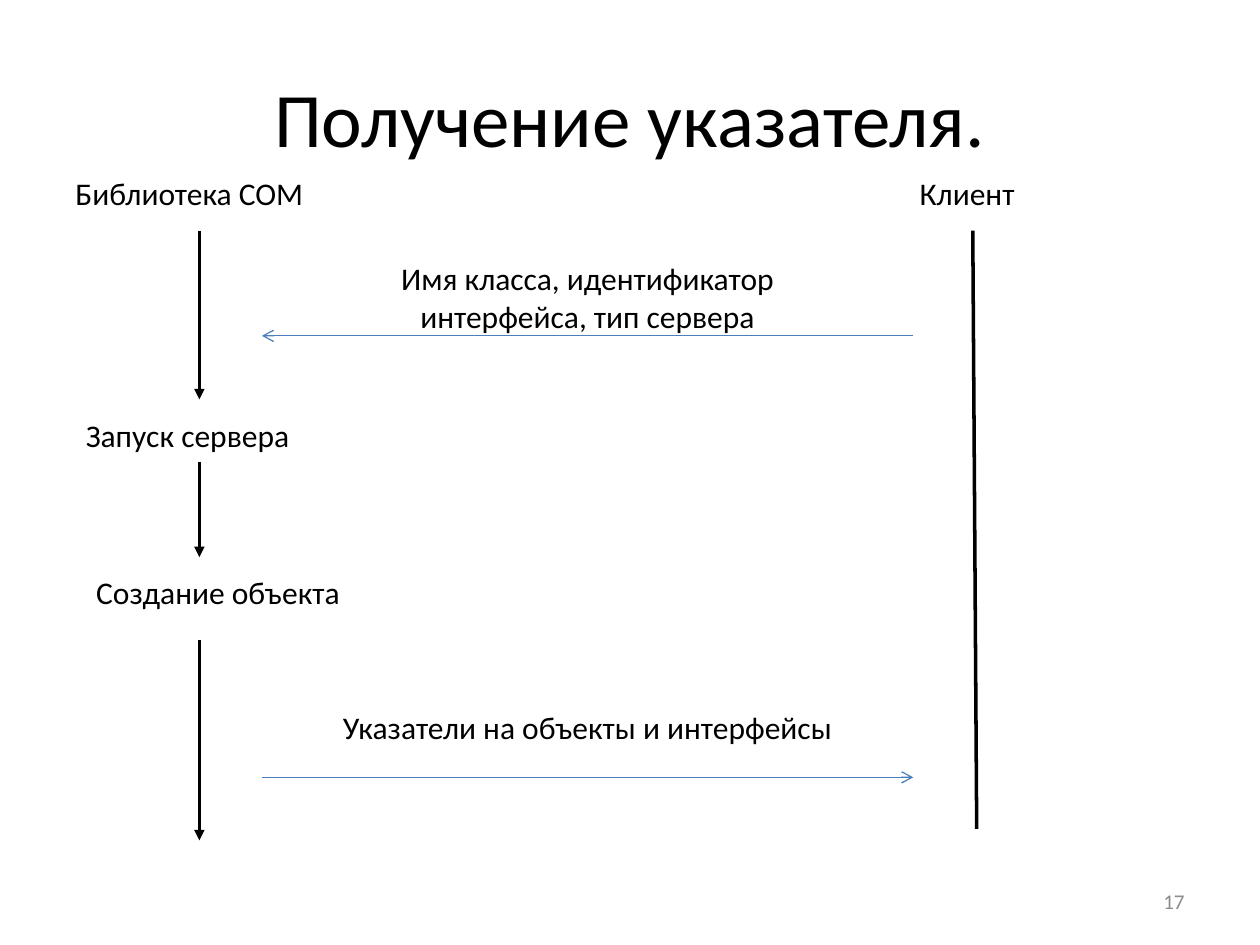
from pptx import Presentation
from pptx.dml.color import RGBColor
from pptx.enum import shapes, text
from pptx.oxml.ns import qn
from pptx.util import Cm, Pt
from lxml import etree

BLACK = RGBColor(0, 0, 0)
BLUE = RGBColor(0x4B, 0x7E, 0xBC)
GRAY = RGBColor(0x8C, 0x8C, 0x8C)
FONT = "Calibri"
ROW = 1.02  # height of a one-line label, cm


def write(frame, words, size=18, color=BLACK, align=text.PP_ALIGN.LEFT,
          anchor=text.MSO_ANCHOR.TOP, wrap=True):
    frame.word_wrap = wrap
    frame.vertical_anchor = anchor
    para = frame.paragraphs[0]
    para.alignment = align
    run = para.add_run()
    run.text = words
    run.font.name = FONT
    run.font.size = Pt(size)
    run.font.color.rgb = color


def label(slide, words, left, top, width, height=ROW, **style):
    box = slide.shapes.add_textbox(Cm(left), Cm(top), Cm(width), Cm(height))
    write(box.text_frame, words, **style)


def line(slide, start, end, color=BLACK, width=2, head=None):
    """Draw a line between two (x, y) points; head names the arrowhead at end."""
    link = slide.shapes.add_connector(
        shapes.MSO_CONNECTOR.STRAIGHT, *map(Cm, (*start, *end)))
    link.line.color.rgb = color
    link.line.width = Pt(width)
    if head:
        stroke = link.line._get_or_add_ln()
        etree.SubElement(stroke, qn("a:tailEnd"), type=head)
    etree.SubElement(link._element.spPr, qn("a:effectLst"))


def heading(slide, left, top, width, height):
    title = slide.shapes.title
    title.left, title.top = Cm(left), Cm(top)
    title.width, title.height = Cm(width), Cm(height)
    write(title.text_frame, "Получение указателя.", 44,
          align=text.PP_ALIGN.CENTER, anchor=text.MSO_ANCHOR.MIDDLE)


def library(slide, left, top):
    """Left lane: each step's label, then the arrow leading on from it."""
    steps = [
        ("Библиотека COM", 0, 5.16, 1.27, 4.67),
        ("Запуск сервера", 4.88, 4.67, 5.94, 7.85),
        ("Создание объекта", 8.05, 5.49, 9.52, 13.56),
    ]
    axis = left + 2.75
    for i, (words, drop, width, start, end) in enumerate(steps):
        label(slide, words, left + i * 0.21, top + drop, width, wrap=False)
        line(slide, (axis, top + start), (axis, top + end), head="triangle")


def client(slide, left, top):
    label(slide, "Клиент", left, top, 2.44, wrap=False)
    line(slide, (left + 1.32, top + 1.27), (left + 1.4, top + 13.33))


def calls(slide, left, top, width):
    """Messages between the lanes, each with its arrow below."""
    inset, right = 1.27, left + width
    messages = [
        ("Имя класса, идентификатор интерфейса, тип сервера",
         0, 1.8, 1.69, right, left),
        ("Указатели на объекты и интерфейсы",
         9.07, ROW, 10.59, left, right),
    ]
    for words, drop, height, rule, start, end in messages:
        label(slide, words, left + inset, top + drop, width - 2 * inset, height,
              align=text.PP_ALIGN.CENTER, anchor=text.MSO_ANCHOR.MIDDLE)
        line(slide, (start, top + rule), (end, top + rule), BLUE, 0.75, "arrow")


def number(slide, left, top, width):
    label(slide, "17", left, top, width, size=12, color=GRAY,
          align=text.PP_ALIGN.RIGHT, anchor=text.MSO_ANCHOR.MIDDLE)


def main():
    deck = Presentation()
    deck.slide_width, deck.slide_height = Cm(25.4), Cm(19.05)
    slide = deck.slides.add_slide(deck.slide_layouts.get_by_name("Title Only"))
    heading(slide, 1.27, 0.76, 22.86, 3.18)
    library(slide, 1.27, 3.38)
    client(slide, 18.29, 3.38)
    calls(slide, 5.28, 5.08, 13.13)
    number(slide, 18.2, 17.65, 5.93)
    deck.save("out.pptx")


if __name__ == "__main__":
    main()
